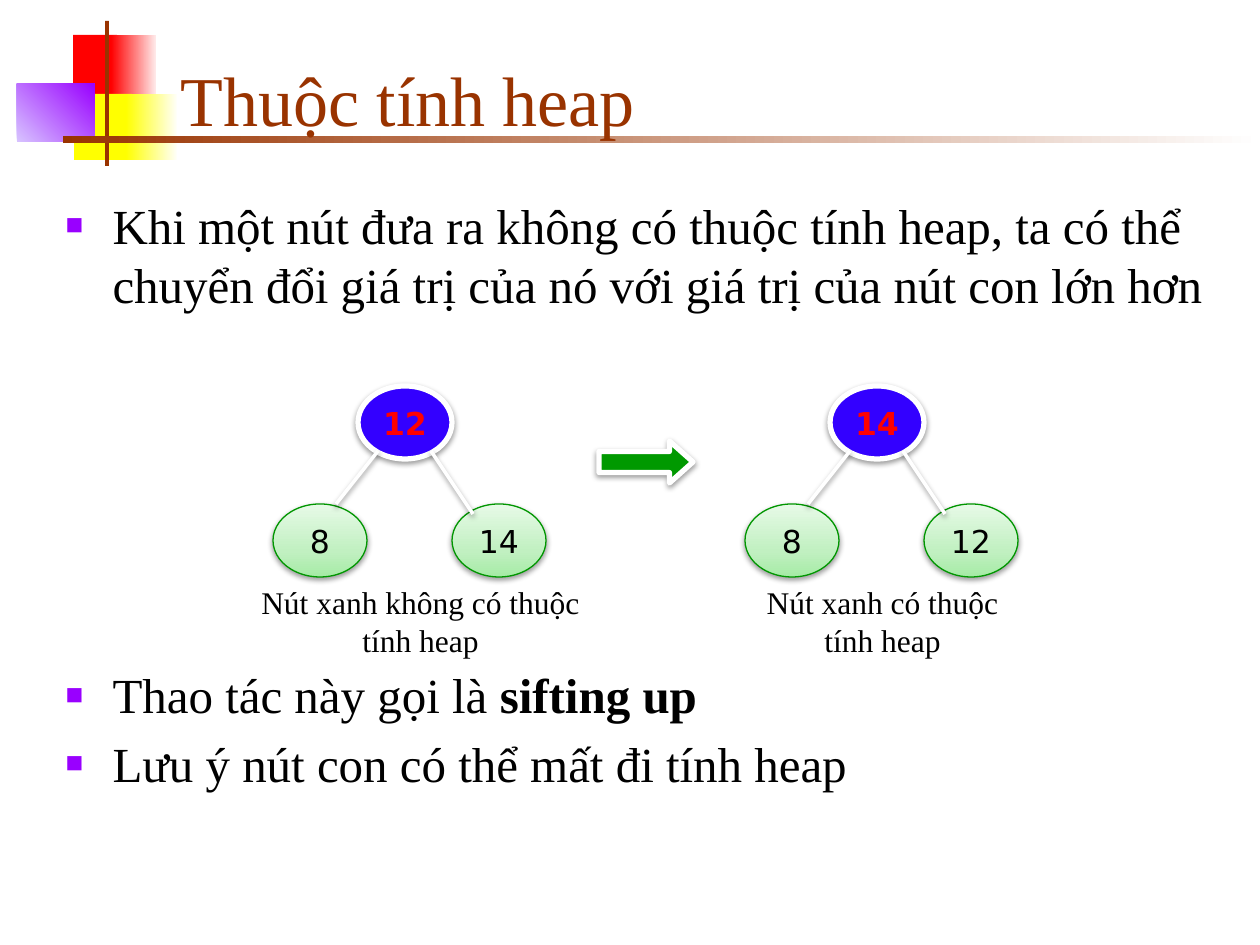
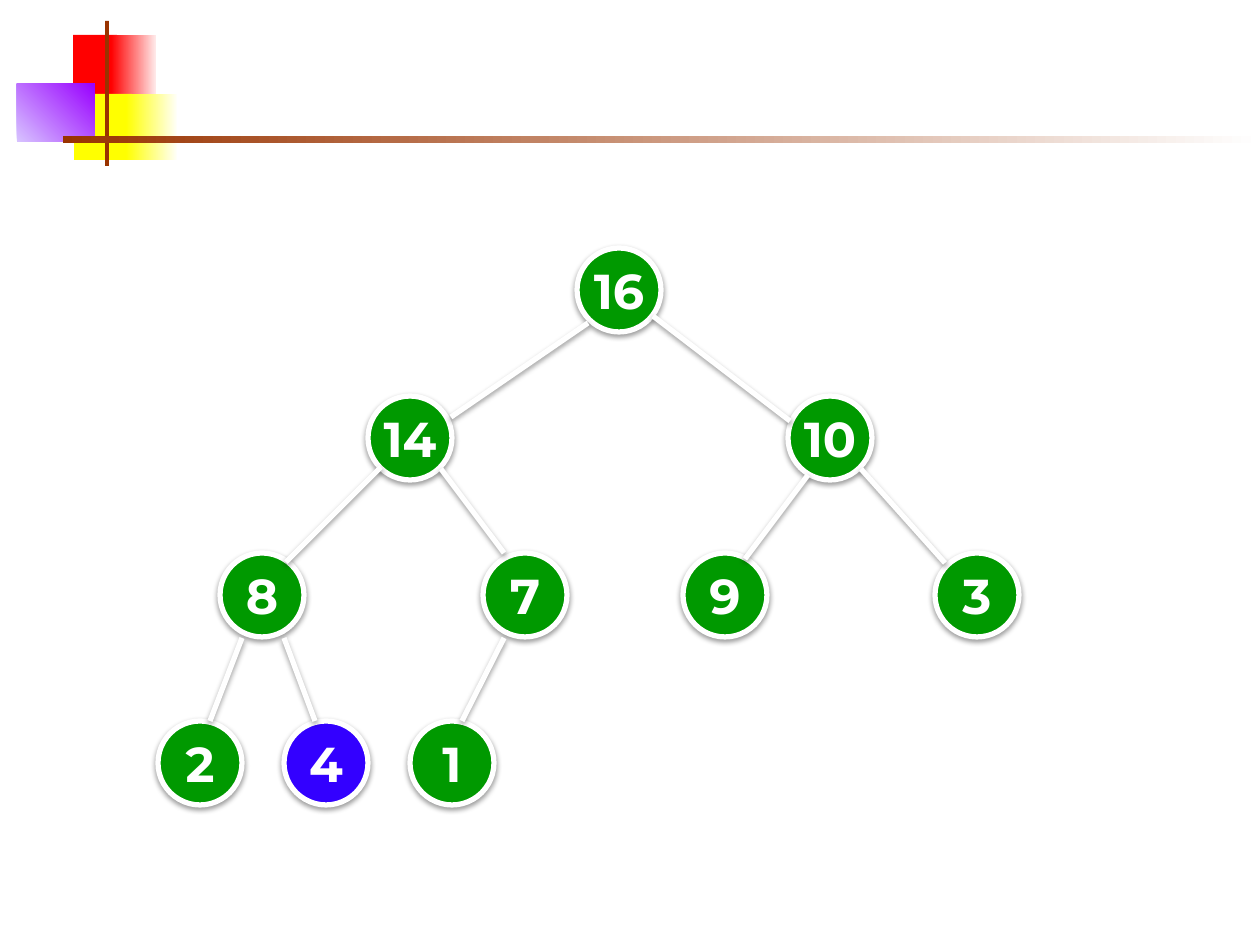
from dataclasses import dataclass

from lxml import etree
from pptx import Presentation
from pptx.dml.color import RGBColor
from pptx.enum.shapes import MSO_CONNECTOR, MSO_SHAPE
from pptx.enum.text import MSO_ANCHOR, MSO_AUTO_SIZE, PP_ALIGN
from pptx.oxml.ns import qn
from pptx.util import Emu, Pt

RECT = MSO_SHAPE.RECTANGLE
OVAL = MSO_SHAPE.OVAL
ARROW = MSO_SHAPE.RIGHT_ARROW
LINE = MSO_CONNECTOR.STRAIGHT
LEFT = PP_ALIGN.LEFT
CENTER = PP_ALIGN.CENTER
MIDDLE = MSO_ANCHOR.MIDDLE
BOTTOM = MSO_ANCHOR.BOTTOM
TOP = MSO_ANCHOR.TOP
FIXED = MSO_AUTO_SIZE.NONE

RED = RGBColor(0xFF, 0x00, 0x00)
PINK = RGBColor(0xFF, 0xEA, 0xEA)
YELLOW = RGBColor(0xFF, 0xFF, 0x00)
CREAM = RGBColor(0xFF, 0xFF, 0xF8)
LILAC = RGBColor(0xD8, 0xC4, 0xFF)
PURPLE = RGBColor(0x99, 0x00, 0xFF)
BROWN = RGBColor(0x99, 0x33, 0x00)
WHITE = RGBColor(0xFF, 0xFF, 0xFF)
BLACK = RGBColor(0x00, 0x00, 0x00)
BLUE = RGBColor(0x33, 0x00, 0xFF)
GREEN = RGBColor(0x00, 0x99, 0x00)
EDGE = RGBColor(0x00, 0x96, 0x00)
MINT = RGBColor(0xA5, 0xEB, 0xA5)
PALE = RGBColor(0xC1, 0xF0, 0xC1)
FROST = RGBColor(0xE7, 0xFA, 0xE7)

SERIF = "Times New Roman"
SANS = "DejaVu Sans"
ROUND = "Montserrat"
SCALE = 914400 / 126


@dataclass(frozen=True)
class Box:
    x: int
    y: int
    w: int
    h: int


@dataclass(frozen=True)
class Paint:
    stops: tuple[tuple[int, RGBColor], ...]
    angle: int = 0


@dataclass(frozen=True)
class Style:
    paint: Paint
    edge: RGBColor
    width: float
    font: str
    size: int
    color: RGBColor
    bold: bool


@dataclass(frozen=True)
class Tree:
    shift: int
    root: str
    leaves: tuple[str, str]
    note: str
    place: Box


def flat(color: RGBColor) -> Paint:
    return Paint(((0, color),))


def fade(start: RGBColor, end: RGBColor, angle: int = 0) -> Paint:
    return Paint(((0, start), (100, end)), angle)


LEAF = Paint(((0, MINT), (35, PALE), (100, FROST)), 90)
TOP_NODE = Style(flat(BLUE), WHITE, 3, SANS, 18, RED, True)
LOW_NODE = Style(LEAF, EDGE, 0.75, SANS, 18, BLACK, False)
HEAP_NODE = Style(flat(GREEN), WHITE, 3, ROUND, 28, WHITE, True)
MARK_NODE = Style(flat(BLUE), WHITE, 3, ROUND, 28, WHITE, True)

DECOR = (
    (Box(73, 35, 44, 66), flat(RED)),
    (Box(111, 35, 45, 66), fade(RED, PINK)),
    (Box(74, 94, 58, 66), flat(YELLOW)),
    (Box(126, 94, 51, 66), fade(YELLOW, CREAM)),
    (Box(17, 84, 78, 58), fade(LILAC, PURPLE, 45)),
    (Box(105, 21, 4, 145), flat(BROWN)),
    (Box(63, 136, 1197, 7), fade(BROWN, WHITE)),
)

BULLETS = (
    ("Khi một nút đưa ra không có thuộc tính heap, ta có thể "
     "chuyển đổi giá trị của nó với giá trị của nút con lớn hơn", "", 5.6),
    ("Thao tác này gọi là ", "sifting up", 201),
    ("Lưu ý nút con có thể mất đi tính heap", "", 5.6),
)

TREES = (
    Tree(0, "12", ("8", "14"), "Nút xanh không có thuộc tính heap",
         Box(242, 577, 357, 89)),
    Tree(472, "14", ("8", "12"), "Nút xanh có thuộc tính heap",
         Box(746, 577, 273, 89)),
)

LEVELS = (
    (248, ((577, "16"),)),
    (396, ((368, "14"), (788, "10"))),
    (553, ((220, "8"), (483, "7"), (683, "9"), (935, "3"))),
    (721, ((158, "2"), (284, "4"), (410, "1"))),
)

LINKS = (
    (451, 417, 588, 323), (653, 316, 790, 421), (381, 467, 286, 562),
    (441, 469, 504, 553), (808, 475, 745, 559), (861, 469, 945, 563),
    (242, 638, 210, 721), (284, 638, 315, 721), (504, 638, 462, 721),
)


def px(value: int) -> Emu:
    return Emu(round(value * SCALE))


def area(box: Box) -> tuple[Emu, ...]:
    return px(box.x), px(box.y), px(box.w), px(box.h)


def move(shape, box: Box) -> None:
    shape.left, shape.top, shape.width, shape.height = area(box)


def tag(parent, name: str, **attrs: str):
    return etree.SubElement(parent, qn(name), attrs)


def fill(shape, paint: Paint) -> None:
    if len(paint.stops) == 1:
        shape.fill.solid()
        shape.fill.fore_color.rgb = paint.stops[0][1]
        return
    shape.fill.gradient()
    shape.fill.gradient_angle = paint.angle
    stops = shape.element.spPr.find(".//" + qn("a:gsLst"))
    for old in list(stops):
        stops.remove(old)
    for spot, color in paint.stops:
        stop = tag(stops, "a:gs", pos=str(spot * 1000))
        tag(stop, "a:srgbClr", val=str(color))


def add_shape(slide, kind, box: Box, paint: Paint):
    shape = slide.shapes.add_shape(kind, *area(box))
    shape.shadow.inherit = False
    fill(shape, paint)
    shape.line.fill.background()
    return shape


def stroke(item, color: RGBColor, width: float) -> None:
    item.line.color.rgb = color
    item.line.width = Pt(width)
    props = item.element.spPr
    effect = props.find(qn("a:effectLst"))
    if effect is None:
        effect = tag(props, "a:effectLst")
    cast = tag(effect, "a:outerShdw", blurRad="40000", dist="20000",
               dir="5400000", rotWithShape="0")
    tint = tag(cast, "a:srgbClr", val=str(BLACK))
    tag(tint, "a:alpha", val="38000")


def format_runs(para, font: str, size: int, color: RGBColor,
                bold: bool = False) -> None:
    for run in para.runs:
        run.font.name = font
        run.font.size = Pt(size)
        run.font.color.rgb = color
        run.font.bold = bold


def add_node(slide, box: Box, text: str, style: Style) -> None:
    node = add_shape(slide, OVAL, box, style.paint)
    stroke(node, style.edge, style.width)
    frame = node.text_frame
    frame.text = text
    frame.word_wrap = False
    frame.vertical_anchor = MIDDLE
    para = frame.paragraphs[0]
    para.alignment = CENTER
    format_runs(para, style.font, style.size, style.color, style.bold)


def add_link(slide, x: int, y: int, to_x: int, to_y: int,
             width: float) -> None:
    link = slide.shapes.add_connector(LINE, px(x), px(y), px(to_x), px(to_y))
    stroke(link, WHITE, width)


def add_note(slide, box: Box, text: str) -> None:
    frame = slide.shapes.add_textbox(*area(box)).text_frame
    frame.word_wrap = True
    frame.text = text
    para = frame.paragraphs[0]
    para.alignment = CENTER
    para.space_before = Pt(9)
    format_runs(para, SERIF, 18, BLACK)


def add_tree(slide, tree: Tree) -> None:
    dx = tree.shift
    add_node(slide, Box(358 + dx, 386, 94, 73), tree.root, TOP_NODE)
    for x, text in zip((273, 452), tree.leaves):
        add_node(slide, Box(x + dx, 504, 94, 73), text, LOW_NODE)
    add_link(slide, 378 + dx, 451, 336 + dx, 504, 2)
    add_link(slide, 431 + dx, 451, 473 + dx, 514, 2)
    add_note(slide, tree.place, tree.note)


def dress_master(deck, slide) -> None:
    tree = deck.slide_master.shapes.element
    for index, (box, paint) in enumerate(DECOR):
        shape = add_shape(slide, RECT, box, paint)
        shape.element.nvSpPr.cNvPr.set("id", str(20 + index))
        tree.append(shape.element)


def set_title(slide, text: str) -> None:
    title = slide.shapes.title
    move(title, Box(168, 32, 1073, 115))
    frame = title.text_frame
    frame.text = text
    frame.auto_size = FIXED
    frame.vertical_anchor = BOTTOM
    para = frame.paragraphs[0]
    para.alignment = LEFT
    format_runs(para, SERIF, 40, BROWN)


def set_list(slide) -> None:
    body = slide.placeholders[1]
    move(body, Box(53, 189, 1182, 656))
    frame = body.text_frame
    frame.text = "\n".join(text for text, _, _ in BULLETS)
    frame.auto_size = FIXED
    frame.vertical_anchor = TOP
    for para, (_, strong, gap) in zip(frame.paragraphs, BULLETS):
        para.space_before = Pt(gap)
        if strong:
            para.add_run().text = strong
        format_runs(para, SERIF, 28, BLACK)
        if strong:
            para.runs[-1].font.bold = True
        props = para._p.get_or_add_pPr()
        props.set("marL", str(px(47)))
        props.set("indent", str(-px(47)))
        tag(tag(props, "a:buClr"), "a:srgbClr", val=str(PURPLE))
        tag(props, "a:buSzPct", val="60000")
        tag(props, "a:buFont", typeface=SERIF)
        tag(props, "a:buChar", char="■")


def draw_swap(slide) -> None:
    set_title(slide, "Thuộc tính heap")
    set_list(slide)
    for tree in reversed(TREES):
        add_tree(slide, tree)
    arrow = add_shape(slide, ARROW, Box(599, 441, 94, 42), flat(GREEN))
    arrow.adjustments[0] = 0.5
    arrow.adjustments[1] = 0.56
    stroke(arrow, WHITE, 3)


def draw_heap(slide) -> None:
    for y, row in LEVELS:
        for x, text in row:
            style = MARK_NODE if text == "4" else HEAP_NODE
            add_node(slide, Box(x, y, 84, 84), text, style)
    for link in LINKS:
        add_link(slide, *link, 3)


def main() -> None:
    deck = Presentation()
    deck.slide_width, deck.slide_height = px(1260), px(945)
    swap = deck.slides.add_slide(deck.slide_layouts[1])
    heap = deck.slides.add_slide(deck.slide_layouts[6])
    dress_master(deck, swap)
    draw_swap(swap)
    draw_heap(heap)
    deck.save("out.pptx")


main()
